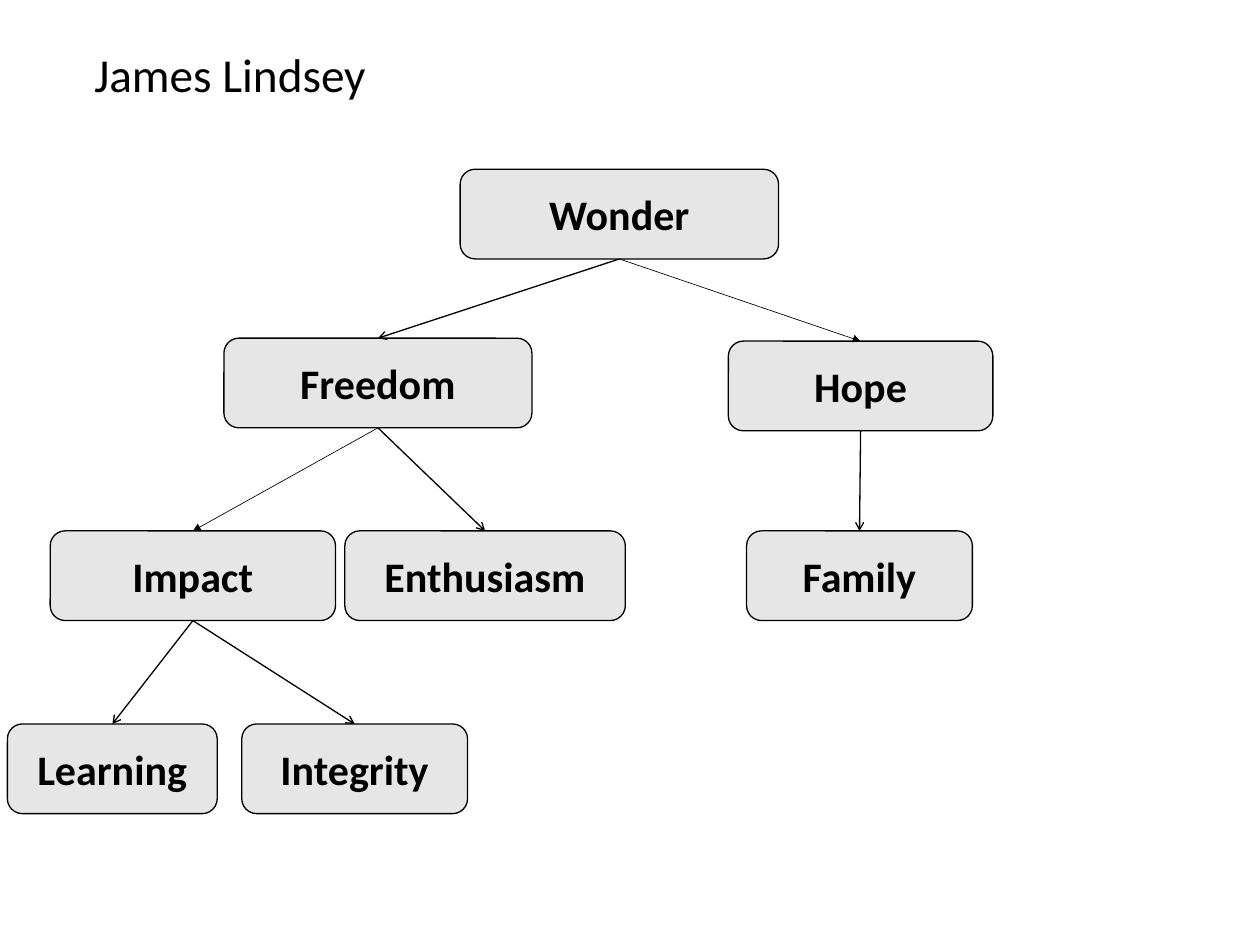
"""Build a slide with a tree of personal values."""
from dataclasses import dataclass

import lxml.etree
import pptx
import pptx.dml.color
import pptx.enum.shapes
import pptx.enum.text
import pptx.oxml.ns
import pptx.shapes.autoshape
import pptx.slide
import pptx.util

Cm = pptx.util.Cm
BLACK = "000000"
NODE_FILL = "E7E6E6"
NODE_HEIGHT = 2.41
BOTTOM, TOP = 2, 0


@dataclass(frozen=True)
class Node:
    label: str
    left: float
    top: float
    width: float


@dataclass(frozen=True)
class Branch:
    parent: str
    child: str
    weight: float = 1
    head: str = "arrow"


NODES = [
    Node("Wonder", 12.37, 4.55, 8.56),
    Node("Freedom", 6.02, 9.09, 8.28),
    Node("Hope", 19.58, 9.17, 7.11),
    Node("Impact", 1.35, 14.27, 7.67),
    Node("Enthusiasm", 9.27, 14.27, 7.54),
    Node("Family", 20.07, 14.27, 6.07),
    Node("Learning", 0.2, 19.46, 5.64),
    Node("Integrity", 6.5, 19.46, 6.07),
]

BRANCHES = [
    Branch("Wonder", "Freedom"),
    Branch("Wonder", "Hope", 0.5, "triangle"),
    Branch("Freedom", "Impact", 0.5, "triangle"),
    Branch("Freedom", "Enthusiasm"),
    Branch("Hope", "Family"),
    Branch("Impact", "Learning"),
    Branch("Impact", "Integrity"),
]


def color(value: str) -> pptx.dml.color.RGBColor:
    return pptx.dml.color.RGBColor.from_string(value)


def write(shape: pptx.shapes.autoshape.Shape, text: str, *,
          size: float, bold: bool = False) -> None:
    frame = shape.text_frame
    frame.word_wrap = True
    frame.vertical_anchor = pptx.enum.text.MSO_ANCHOR.MIDDLE
    paragraph = frame.paragraphs[0]
    paragraph.alignment = pptx.enum.text.PP_ALIGN.CENTER
    run = paragraph.add_run()
    run.text = text
    run.font.name = "Calibri"
    run.font.size = pptx.util.Pt(size)
    run.font.bold = bold
    run.font.color.rgb = color(BLACK)


def draw_node(slide: pptx.slide.Slide, node: Node) -> pptx.shapes.autoshape.Shape:
    box = slide.shapes.add_shape(
        pptx.enum.shapes.MSO_SHAPE.ROUNDED_RECTANGLE,
        Cm(node.left), Cm(node.top), Cm(node.width), Cm(NODE_HEIGHT))
    box.shadow.inherit = False
    box.fill.solid()
    box.fill.fore_color.rgb = color(NODE_FILL)
    box.line.color.rgb = color(BLACK)
    box.line.width = pptx.util.Pt(1)
    write(box, node.label, size=32, bold=True)
    return box


def draw_branch(slide: pptx.slide.Slide, branch: Branch,
                boxes: dict[str, pptx.shapes.autoshape.Shape]) -> None:
    arrow = slide.shapes.add_connector(
        pptx.enum.shapes.MSO_CONNECTOR.STRAIGHT, 0, 0, 0, 0)
    arrow.begin_connect(boxes[branch.parent], BOTTOM)
    arrow.end_connect(boxes[branch.child], TOP)
    arrow.line.color.rgb = color(BLACK)
    arrow.line.width = pptx.util.Pt(branch.weight)
    qn = pptx.oxml.ns.qn
    properties = arrow.element.spPr
    lxml.etree.SubElement(properties.find(qn("a:ln")), qn("a:tailEnd"), type=branch.head)
    lxml.etree.SubElement(properties, qn("a:effectLst"))


def main() -> None:
    presentation = pptx.Presentation()
    presentation.slide_width = Cm(33.87)
    presentation.slide_height = Cm(25.4)
    slide = presentation.slides.add_slide(presentation.slide_layouts[6])
    person = slide.shapes.add_textbox(Cm(0), Cm(1.09), Cm(12.37), Cm(1.8))
    write(person, "James Lindsey", size=36)
    boxes = {node.label: draw_node(slide, node) for node in NODES}
    for branch in BRANCHES:
        draw_branch(slide, branch, boxes)
    presentation.save("out.pptx")


if __name__ == "__main__":
    main()
